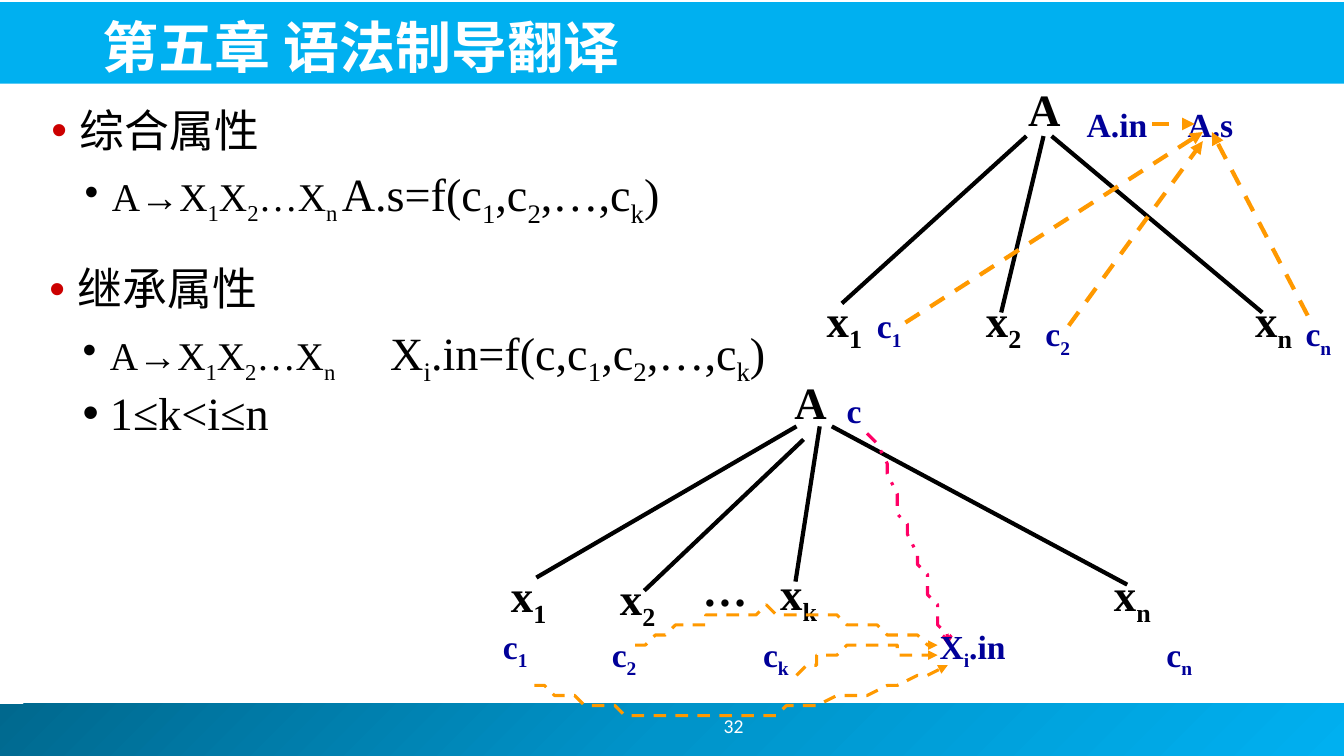
import copy
import dataclasses

import pptx
import pptx.dml.color
import pptx.enum.dml
import pptx.enum.shapes
import pptx.enum.text
import pptx.oxml
import pptx.oxml.ns
import pptx.util

CELL = pptx.util.Inches(0.1)
COLUMNS, ROWS = 133.3, 75
CURVE_STEPS = 16


@dataclasses.dataclass(frozen=True)
class Theme:
    heading_font: str = "Noto Sans CJK JP"
    formula_font: str = "Times New Roman"
    number_font: str = "Calibri"
    title_size: float = 40
    heading_size: float = 32
    production_size: float = 28
    rule_size: float = 33
    attribute_size: float = 24
    number_size: float = 14
    white: str = "FFFFFF"
    ink: str = "000000"
    banner: str = "00B0F0"
    footer: tuple = ("00688E", "0094CA", "00B0F0")
    bullet: str = "CC0000"
    attribute: str = "000099"
    dependency: str = "FF9900"
    inherited: str = "FF0066"


THEME = Theme()


def cells(*values):
    """Turn grid columns or rows into lengths."""
    return [round(value * CELL) for value in values]


def rgb(color):
    return pptx.dml.color.RGBColor.from_string(color)


def add_xml(parent, tag, **attributes):
    element = pptx.oxml.parse_xml(f"<{tag} {pptx.oxml.ns.nsdecls('a')}/>")
    for name, value in attributes.items():
        element.set(name, value)
    parent.append(element)
    return element


def set_font(font, name, size, color, bold=False):
    font.size, font.bold = pptx.util.Pt(size), bold
    font.color.rgb = rgb(color)
    font.name = name
    add_xml(font._element, "a:ea", typeface=name)


def add_runs(paragraph, text, size=None):
    """Add text in which an underscore lowers the one character after it."""
    first, *rest = text.split("_")
    pieces = [(first, None)]
    for part in rest:
        pieces += [(part[0], "-25000"), (part[1:], None)]
    for piece, baseline in pieces:
        if piece:
            run = paragraph.add_run()
            run.text = piece
            if size:
                run.font.size = pptx.util.Pt(size)
            if baseline:
                run.font._element.set("baseline", baseline)


def place(shape, left, top, width, height):
    shape.left, shape.top, shape.width, shape.height = cells(left, top, width, height)


def add_bar(slide, box, colors):
    """Add a plain or three-colour gradient bar behind everything else."""
    bar = slide.shapes.add_shape(pptx.enum.shapes.MSO_SHAPE.RECTANGLE, *cells(*box))
    bar.shadow.inherit = False
    bar.line.fill.background()
    if len(colors) == 1:
        bar.fill.solid()
        bar.fill.fore_color.rgb = rgb(colors[0])
    else:
        bar.fill.gradient()
        bar.fill.gradient_angle = 315
        stop_list = bar._element.spPr.find(".//" + pptx.oxml.ns.qn("a:gsLst"))
        stop_list.insert(1, copy.deepcopy(stop_list[0]))
        for index, (stop, color) in enumerate(zip(bar.fill.gradient_stops, colors)):
            stop.color.rgb = rgb(color)
            stop.position = index / (len(colors) - 1)
    slide.shapes._spTree.insert(2, bar._element)


def add_label(slide, text, box, font=THEME.formula_font, size=THEME.heading_size,
              color=THEME.ink, bold=True):
    label = slide.shapes.add_textbox(*cells(*box))
    label.text_frame.word_wrap = True
    paragraph = label.text_frame.paragraphs[0]
    add_runs(paragraph, text)
    set_font(paragraph.font, font, size, color, bold)
    return label


def add_nodes(slide, nodes):
    for text, left, top in nodes:
        add_label(slide, text, (left, top, 9, 6.3))


def add_attributes(slide, attributes):
    for text, left, top in attributes:
        add_label(slide, text, (left, top, min(10, COLUMNS - left), 5),
                  size=THEME.attribute_size, color=THEME.attribute)


def format_line(line, color, width, dash=None, arrow=None):
    line.color.rgb, line.width = rgb(color), pptx.util.Pt(width)
    if dash:
        line.dash_style = dash
    if arrow:
        add_xml(line._get_or_add_ln(), "a:tailEnd", type=arrow)


def add_line(slide, start, end, color=THEME.ink, dash=None, arrow=None):
    connector = slide.shapes.add_connector(
        pptx.enum.shapes.MSO_CONNECTOR.STRAIGHT, *cells(*start, *end))
    format_line(connector.line, color, 3, dash, arrow)
    add_xml(connector._element.spPr, "a:effectLst")


def bezier(start, control_1, control_2, end):
    for step in range(1, CURVE_STEPS + 1):
        t = step / CURVE_STEPS
        weights = ((1 - t) ** 3, 3 * t * (1 - t) ** 2, 3 * t * t * (1 - t), t ** 3)
        yield tuple(sum(weight * value for weight, value in zip(weights, axis))
                    for axis in zip(start, control_1, control_2, end))


def add_curve(slide, points, color, dash, arrow):
    """Draw joined cubic curves: a start, then two controls and an end each."""
    builder = slide.shapes.build_freeform(*points[0], scale=CELL)
    for index in range(0, len(points) - 1, 3):
        builder.add_line_segments(bezier(*points[index:index + 4]), close=False)
    curve = builder.convert_to_shape()
    curve.shadow.inherit = False
    curve.fill.background()
    format_line(curve.line, color, 2.25, dash, arrow)


def format_item(paragraph, level, bullet_color, size, tab):
    paragraph.level = level
    paragraph.line_spacing = 0.9
    paragraph.space_before = pptx.util.Pt(0.2 * size)
    properties = paragraph._p.get_or_add_pPr()
    margin, indent = cells(*((7.2, -2.7) if level else (4, -2.8)))
    properties.set("marL", str(margin))
    properties.set("indent", str(indent))
    add_xml(add_xml(properties, "a:buClr"), "a:srgbClr", val=bullet_color)
    add_xml(properties, "a:buFont", typeface="Arial")
    add_xml(properties, "a:buChar", char="•")
    if tab:
        add_xml(add_xml(properties, "a:tabLst"), "a:tab", pos=str(cells(tab)[0]), algn="l")


def fill_list(placeholder, box, heading, items, tab):
    """Fill a heading and its formulas, each a list of (text, size) parts."""
    place(placeholder, *box)
    frame = placeholder.text_frame
    frame.auto_size = pptx.enum.text.MSO_AUTO_SIZE.NONE
    paragraph = frame.paragraphs[0]
    add_runs(paragraph, heading)
    format_item(paragraph, 0, THEME.bullet, THEME.heading_size, None)
    set_font(paragraph.font, THEME.heading_font, THEME.heading_size, THEME.ink)
    for parts in items:
        paragraph = frame.add_paragraph()
        for text, size in parts:
            add_runs(paragraph, text, size)
        format_item(paragraph, 1, THEME.ink, THEME.rule_size, tab)
        set_font(paragraph.font, THEME.formula_font, THEME.rule_size, THEME.ink)


def fill_title(title, text):
    place(title, 9.2, 0.5, 119.7, 7.9)
    frame = title.text_frame
    frame.auto_size = pptx.enum.text.MSO_AUTO_SIZE.NONE
    frame.vertical_anchor = pptx.enum.text.MSO_ANCHOR.BOTTOM
    paragraph = frame.paragraphs[0]
    add_runs(paragraph, text)
    paragraph.alignment = pptx.enum.text.PP_ALIGN.LEFT
    set_font(paragraph.font, THEME.heading_font, THEME.title_size, THEME.white, True)


def add_synthesized_tree(slide):
    dash = pptx.enum.dml.MSO_LINE.DASH
    add_nodes(slide, [("A", 101, 7.6), ("x_1", 81, 28.5), ("x_2", 96.8, 28.5),
                      ("x_n", 123.5, 28.5)])
    for start, end in [((101.8, 13.5), (83.5, 30.1)), ((103.5, 13.5), (99.3, 31)),
                       ((104.3, 13.5), (125.2, 31))]:
        add_line(slide, start, end)
    add_attributes(slide, [("A.in", 106.8, 9.8), ("A.s", 116.8, 9.8), ("c_1", 86, 29.8),
                           ("c_2", 102.7, 30.6), ("c_n", 128.5, 30.6)])
    for start, end in [((89.8, 32), (119.3, 13.1)), ((106, 32.3), (119.3, 14)),
                       ((129.7, 31.3), (120.2, 13.1)), ((114.3, 12.3), (118.5, 12.3))]:
        add_line(slide, start, end, THEME.dependency, dash, "triangle")


def add_inherited_tree(slide):
    line_styles = pptx.enum.dml.MSO_LINE
    add_nodes(slide, [("A", 77.8, 36.7), ("x_1", 49.7, 55.8), ("x_2", 60.5, 56.1),
                      ("…", 68.7, 55.2), ("x_k", 76.4, 55.6), ("x_n", 109.5, 55.7)])
    for start, end in [((79, 42.3), (53.2, 57.3)), ((79.7, 43.6), (63.9, 58.6)),
                       ((81.3, 42.3), (78.9, 57.7)), ((82.5, 42.3), (111.8, 58))]:
        add_line(slide, start, end)
    for points in [
        [(78.9, 66.8), (80.6, 65.7), (82.3, 64.6), (84.7, 64.3),
         (87.1, 64.1), (90, 64.6), (93, 65.2)],
        [(62.8, 64.5), (66.7, 62.5), (70.6, 60.6), (75.6, 60.5),
         (80.7, 60.4), (86.8, 62.2), (93, 64)],
        [(52.8, 67.8), (58.1, 69.7), (63.4, 71.6), (70.2, 71.4),
         (77, 71.1), (85.4, 68.8), (93.8, 66.4)],
    ]:
        add_curve(slide, points, THEME.dependency, line_styles.DASH, "triangle")
    add_curve(slide, [(86.4, 42.7), (89.5, 51.2), (92.6, 59.7), (93.9, 63.5)],
              THEME.inherited, line_styles.DASH_DOT, "arrow")
    add_attributes(slide, [("c", 83, 38.2), ("c_1", 48.9, 61.6), ("c_2", 59.7, 62.4),
                           ("c_k", 74.7, 62.4), ("X_i.in", 92.2, 61.6), ("c_n", 114.7, 62.4)])


def main():
    presentation = pptx.Presentation()
    presentation.slide_width, presentation.slide_height = cells(COLUMNS, ROWS)
    slide = presentation.slides.add_slide(presentation.slide_layouts[3])
    title, synthesized, inherited = list(slide.placeholders)[:3]
    add_bar(slide, (0, 69.8, COLUMNS, 5.2), THEME.footer)
    add_bar(slide, (0, 0.2, COLUMNS, 8.1), (THEME.banner,))
    fill_title(title, "第五章 语法制导翻译")
    production = ("A→X_1X_2…X_n\t", THEME.production_size)
    fill_list(synthesized, (2.9, 10.3, 81.3, 14.1), "综合属性",
              [[production, ("A.s=f(c_1,c_2,…,c_k)", THEME.rule_size)]], 30)
    fill_list(inherited, (2.7, 26, 80.3, 19.5), "继承属性",
              [[production, ("X_i.in=f(c,c_1,c_2,…,c_k)", THEME.rule_size)],
               [("1≤k<i≤n", THEME.rule_size)]], 35)
    number = add_label(slide, "32", (58.3, 69.5, 28.9, 5), THEME.number_font,
                       THEME.number_size, THEME.white, False)
    number.text_frame.vertical_anchor = pptx.enum.text.MSO_ANCHOR.MIDDLE
    number.text_frame.paragraphs[0].alignment = pptx.enum.text.PP_ALIGN.CENTER
    add_synthesized_tree(slide)
    add_inherited_tree(slide)
    presentation.save("out.pptx")


if __name__ == "__main__":
    main()
